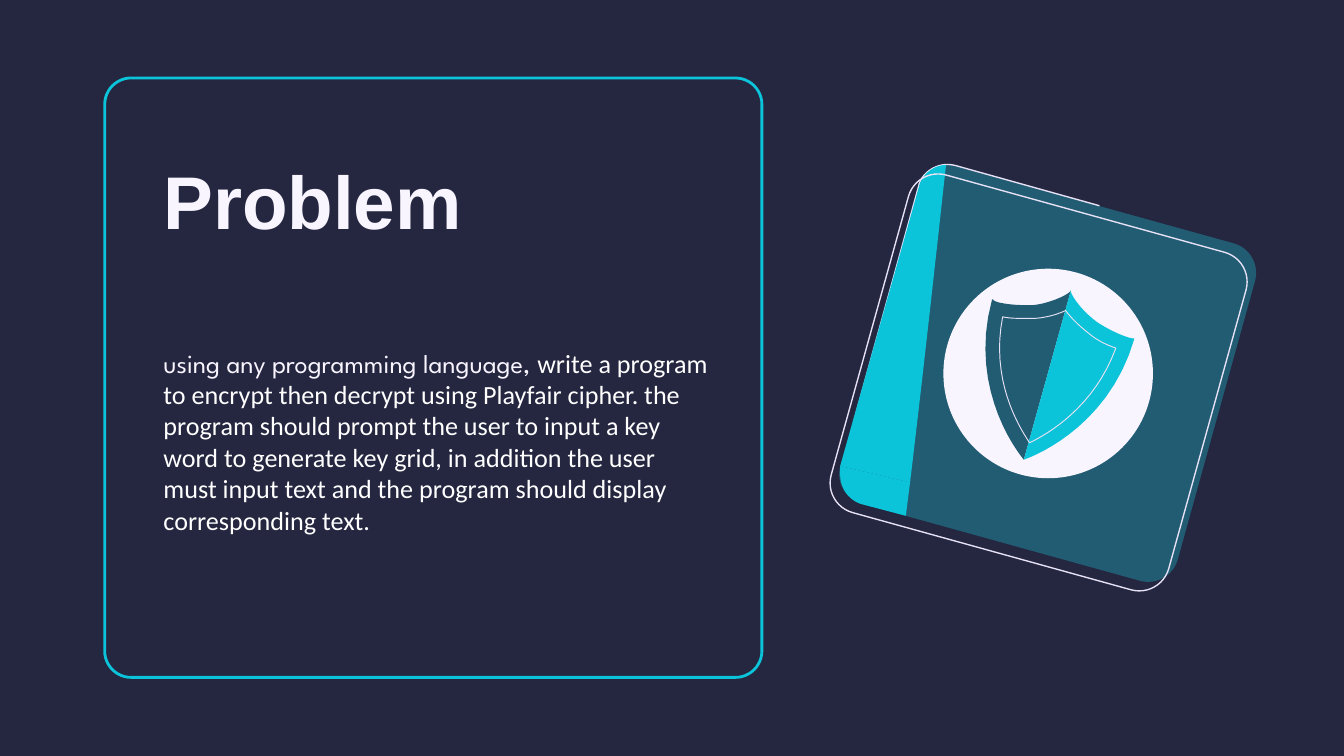
from dataclasses import dataclass

import pptx
import pptx.dml.color
import pptx.enum.shapes
import pptx.enum.text
import pptx.util
from pptx.util import Cm

NAVY, TEAL, CYAN = "252640", "225C73", "0BC4D9"
WHITE, PALE, LILAC = "FFFFFF", "F8F5FF", "E6E1F5"
RECT = pptx.enum.shapes.MSO_SHAPE.ROUNDED_RECTANGLE
OVAL = pptx.enum.shapes.MSO_SHAPE.OVAL
CURVE_STEPS = 16


@dataclass
class Preset:
    kind: int
    cx: float
    cy: float
    w: float
    h: float
    fill: str | None = None
    line: str | None = None
    weight: float = 0.75
    radius: float = 0
    rotation: float = 0


@dataclass
class Outline:
    """A path in cm: a 2-tuple is a straight step, a 6-tuple a Bezier curve."""
    start: tuple
    steps: list
    fill: str | None = None
    line: str | None = None
    weight: float = 0.75
    closed: bool = True


def rgb(value: str):
    return pptx.dml.color.RGBColor.from_string(value)


def paint(sp, style: Preset | Outline) -> None:
    sp.shadow.inherit = False
    if style.fill:
        sp.fill.solid()
        sp.fill.fore_color.rgb = rgb(style.fill)
    else:
        sp.fill.background()
    if style.line:
        sp.line.color.rgb = rgb(style.line)
        sp.line.width = pptx.util.Pt(style.weight)
    else:
        sp.line.fill.background()


def draw_preset(s, item: Preset) -> None:
    sp = s.shapes.add_shape(item.kind, Cm(item.cx - item.w / 2), Cm(item.cy - item.h / 2),
                            Cm(item.w), Cm(item.h))
    if item.radius:
        sp.adjustments[0] = item.radius / min(item.w, item.h)
    sp.rotation = item.rotation
    paint(sp, item)


def bezier(p0: tuple, c: tuple) -> list:
    points = []
    for i in range(1, CURVE_STEPS + 1):
        t = i / CURVE_STEPS
        u = 1 - t
        points.append(tuple(u**3 * p0[k] + 3 * u * u * t * c[k]
                            + 3 * u * t * t * c[k + 2] + t**3 * c[k + 4] for k in (0, 1)))
    return points


def draw_outline(s, item: Outline) -> None:
    points = [item.start]
    for step in item.steps:
        points += bezier(points[-1], step) if len(step) == 6 else [step]
    emu = [(Cm(x), Cm(y)) for x, y in points]
    builder = s.shapes.build_freeform(*emu[0], scale=1.0)
    builder.add_line_segments(emu[1:], close=item.closed)
    paint(builder.convert_to_shape(), item)


def add_text(s, x: float, y: float, w: float, h: float, runs: list, *,
             size: float, bold: bool = False) -> None:
    """Add a text box whose runs are (text, font, colour)."""
    tf = s.shapes.add_textbox(Cm(x), Cm(y), Cm(w), Cm(h)).text_frame
    tf.word_wrap = True
    tf.vertical_anchor = pptx.enum.text.MSO_ANCHOR.MIDDLE
    tf.margin_left = tf.margin_right = tf.margin_top = tf.margin_bottom = Cm(0.25)
    p = tf.paragraphs[0]
    for text, font, colour in runs:
        r = p.add_run()
        r.text = text
        r.font.name = font
        r.font.size = pptx.util.Pt(size)
        r.font.bold = bold
        r.font.color.rgb = rgb(colour)


FRAME = Preset(RECT, 8.19, 7.14, 12.42, 11.33, line=CYAN, weight=1.5, radius=0.5)
COVER = Preset(RECT, 19.8, 7.06, 6.62, 6.62, fill=TEAL, radius=0.58, rotation=15.5)
COVER_LINE = Preset(RECT, 19.63, 7.23, 6.62, 6.62, line=LILAC, radius=0.58, rotation=15.5)
DISC = Preset(OVAL, 19.81, 7.06, 3.96, 3.96, fill=PALE)

SHIELD_TOP, SHIELD_TIP, SHIELD_RIGHT = (20.24, 5.49), (19.35, 8.69), (21.44, 6.4)
SHIELD_LEFT_HALF = Outline(SHIELD_TOP, [
    (20.22, 5.56, 19.84, 5.74, 19.51, 5.77), (19.41, 5.77),
    (19.1, 5.77, 18.77, 5.72, 18.77, 5.66), (18.75, 5.66),
    (18.26, 7.44, *SHIELD_TIP, *SHIELD_TIP)], fill=TEAL)
SHIELD_RIGHT_HALF = Outline(SHIELD_TOP, [
    SHIELD_TIP, (*SHIELD_TIP, 20.93, 8.18, *SHIELD_RIGHT),
    (21.31, 6.4, 20.98, 6.25, 20.75, 6.1),
    (20.45, 5.89, 20.22, 5.56, *SHIELD_TOP)], fill=CYAN)
SHIELD_LINE = Outline((20.14, 5.87), [
    (20.27, 6.05, 20.47, 6.22, 20.6, 6.32), (20.73, 6.43, 20.93, 6.53, 21.09, 6.58),
    (20.68, 7.7, 19.81, 8.2, 19.46, 8.37), (19.23, 8.03, 18.72, 7.16, 18.95, 5.99),
    (19.08, 6.02, 19.25, 6.02, 19.38, 6.02), (19.53, 6.02),
    (19.66, 6.02, 19.94, 5.97, 20.14, 5.87)], line=LILAC, weight=0.5)

SPINE_LEFT, SPINE_RIGHT = (15.88, 8.81), (17.2, 9.12)
SPINE = Outline((17.88, 3.12), [
    (17.65, 3.12, 17.42, 3.3, 17.37, 3.53), SPINE_LEFT, SPINE_RIGHT,
    (17.45, 7.06, 17.75, 4.29, 17.88, 3.12)], fill=CYAN)
SPINE_FOOT = Outline(SPINE_LEFT, [
    (15.88, 8.97), (15.88, 9.22, 16.03, 9.45, 16.28, 9.53),
    (17.12, 9.75), SPINE_RIGHT], fill=CYAN)
EDGE_LINE = Outline((16.14, 7.96), [
    (17.36, 3.53), (17.41, 3.28, 17.66, 3.11, 17.91, 3.11),
    (17.96, 3.11, 18.01, 3.12, 18.06, 3.13), (20.78, 3.89)], line=LILAC, closed=False)


def main() -> None:
    prs = pptx.Presentation()
    prs.slide_width, prs.slide_height = Cm(25.4), Cm(14.29)
    s = prs.slides.add_slide(prs.slide_layouts[6])
    s.background.fill.solid()
    s.background.fill.fore_color.rgb = rgb(NAVY)

    draw_preset(s, FRAME)
    add_text(s, 2.84, 2.97, 10.06, 1.6, [("Problem", "Arial", PALE)], size=40, bold=True)
    add_text(s, 2.84, 5.18, 10.9, 6.32, [
        ("using any programming language, ", "League Spartan", PALE),
        ("write a program to encrypt then decrypt using Playfair cipher. the program "
         "should prompt the user to input a key word to generate key grid, in addition "
         "the user must input text and the program should display corresponding text.",
         "Calibri", WHITE)], size=14)

    for item in (COVER, DISC):
        draw_preset(s, item)
    for item in (SHIELD_LEFT_HALF, SHIELD_RIGHT_HALF, SHIELD_LINE, EDGE_LINE, SPINE, SPINE_FOOT):
        draw_outline(s, item)
    draw_preset(s, COVER_LINE)
    prs.save("out.pptx")


if __name__ == "__main__":
    main()
